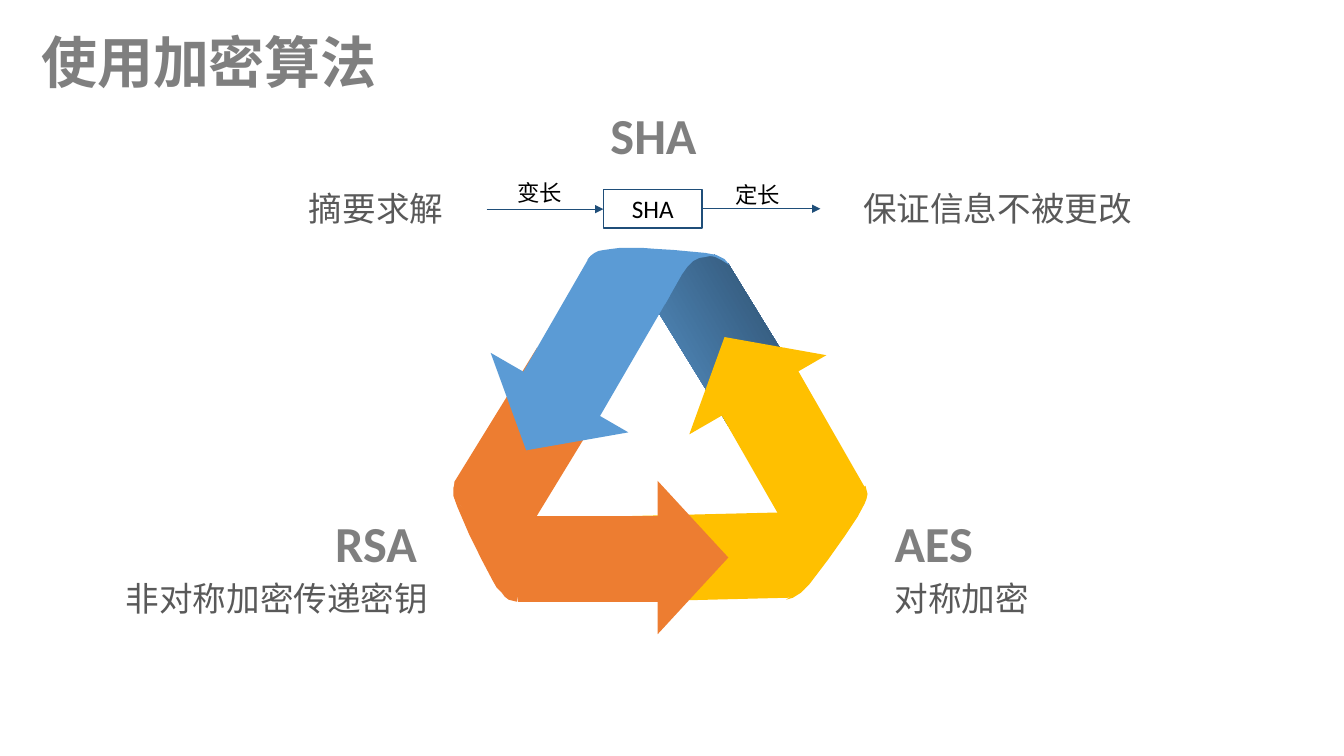
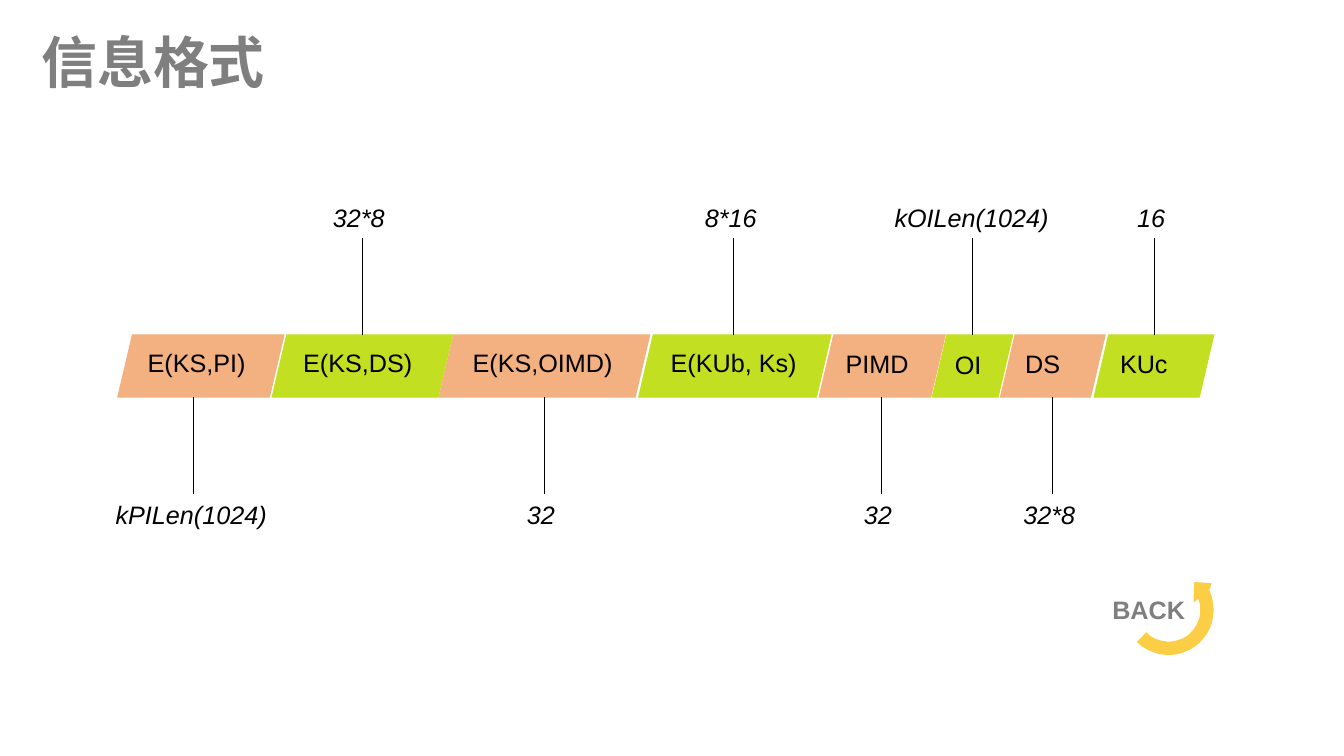
from dataclasses import dataclass
from math import cos, radians, sin

from lxml.etree import SubElement
from pptx import Presentation
from pptx.dml.color import RGBColor
from pptx.enum.shapes import MSO_CONNECTOR as Connector, MSO_SHAPE as Shape
from pptx.enum.text import MSO_ANCHOR as Anchor, PP_ALIGN as Align
from pptx.oxml.ns import qn
from pptx.util import Cm, Pt

# Shared look
COLOURS = {
    "heading": "7F7F7F", "body": "595959", "black": "000000", "flow": "1F4E79",
    "blue": "5B9BD5", "navy": "294761", "orange": "ED7D31", "yellow": "FFC000",
    "peach": "F3B081", "lime": "C3DF21", "back": "FBCE45",
}
HEADING = dict(size=36, colour="heading", bold=True)
BODY = dict(size=24, colour="body")
FLOW_LABEL = dict(size=16, font="Arial")
FIELD_TEXT = dict(size=18, font="Arial")


@dataclass
class Caption:
    text: str
    left: float
    top: float
    width: float
    height: float
    style: dict


@dataclass
class Strip:
    colour: str
    points: list[tuple[float, float]]
    shade: str | None = None


@dataclass
class Arrowhead:
    colour: str
    left: float
    top: float
    width: float
    height: float
    rotation: int


@dataclass
class Field:
    name: str
    left: float
    width: float
    tick: float
    size: str
    size_width: float


def rgb(name: str) -> RGBColor:
    return RGBColor.from_string(COLOURS[name])


def write(frame, text: str, *, size: float, colour: str = "black",
          font: str = "Calibri", bold: bool = False, italic: bool = False,
          align=Align.LEFT, anchor=Anchor.TOP) -> None:
    frame.word_wrap = True
    frame.vertical_anchor = anchor
    paragraph = frame.paragraphs[0]
    paragraph.alignment = align
    run = paragraph.add_run()
    run.text = text
    run.font.size, run.font.name = Pt(size), font
    run.font.bold, run.font.italic = bold, italic
    run.font.color.rgb = rgb(colour)


def add_caption(slide, caption: Caption) -> None:
    box = slide.shapes.add_textbox(Cm(caption.left), Cm(caption.top),
                                   Cm(caption.width), Cm(caption.height))
    write(box.text_frame, caption.text, **caption.style)


def paint(shape, fill: str | None, line: str | None = None,
          weight: float = 0.75) -> None:
    shape.shadow.inherit = False
    if fill:
        shape.fill.solid()
        shape.fill.fore_color.rgb = rgb(fill)
    else:
        shape.fill.background()
    if line:
        shape.line.color.rgb = rgb(line)
        shape.line.width = Pt(weight)
    else:
        shape.line.fill.background()


def add_preset(slide, kind, left: float, top: float, width: float, height: float):
    return slide.shapes.add_shape(kind, Cm(left), Cm(top), Cm(width), Cm(height))


def add_outline(slide, points: list[tuple[float, float]], unit: float):
    """Closed polygon; unit is the length in cm of one step of the points."""
    builder = slide.shapes.build_freeform(*points[0], scale=Cm(unit))
    builder.add_line_segments(points[1:], close=True)
    return builder.convert_to_shape()


def add_line(slide, start: tuple[float, float], end: tuple[float, float],
             colour: str, weight: float, arrow: bool = False) -> None:
    line = slide.shapes.add_connector(Connector.STRAIGHT, *map(Cm, start + end))
    line.line.color.rgb = rgb(colour)
    line.line.width = Pt(weight)
    if arrow:
        SubElement(line.line._get_or_add_ln(), qn("a:tailEnd"), type="triangle")
    SubElement(line._element.spPr, qn("a:effectLst"))


def new_slide(deck, title: str):
    slide = deck.slides.add_slide(deck.slide_layouts[6])
    add_caption(slide, Caption(title, 0.79, 0.56, 9.04, 1.96,
                               dict(size=40, colour="heading", bold=True)))
    return slide


# Cycle of the three algorithms; points in steps of 0.0254 cm
STRIP_UNIT = 0.0254
STRIPS = [
    Strip("orange", [(609, 387), (504, 559), (451, 494), (451, 478), (533, 345)]),
    Strip("blue", [(733, 439), (624, 262), (709, 253), (723, 262), (807, 399)],
          shade="navy"),
    Strip("blue", [(582, 436), (665, 293), (625, 271), (585, 255), (506, 392)]),
    Strip("blue", [(660, 302), (583, 258), (586, 254), (590, 251), (594, 249),
                   (600, 248), (607, 247), (615, 246), (638, 246), (651, 247),
                   (668, 248), (700, 251), (711, 253), (719, 257), (724, 263),
                   (716, 258), (710, 255), (705, 254), (700, 255), (694, 256),
                   (688, 259), (682, 265), (677, 272)]),
    Strip("yellow", [(625, 512), (833, 507), (798, 585), (784, 593), (623, 597)]),
    Strip("yellow", [(703, 389), (785, 532), (824, 509), (858, 483), (779, 345)]),
    Strip("yellow", [(782, 526), (859, 482), (861, 490), (860, 495), (858, 500),
                     (851, 513), (839, 531), (822, 555), (803, 580), (795, 588),
                     (787, 593), (780, 595), (788, 590), (794, 587), (797, 583),
                     (800, 578), (801, 573), (802, 567), (801, 560), (797, 553)]),
    Strip("orange", [(513, 512), (513, 597), (509, 596), (505, 595), (501, 592),
                     (498, 588), (493, 583), (489, 576), (479, 557), (466, 531),
                     (454, 503), (450, 492), (450, 484), (452, 477), (452, 492),
                     (454, 497), (457, 501), (461, 505), (466, 509), (473, 511),
                     (481, 512)]),
    Strip("orange", [(682, 512), (507, 512), (508, 556), (514, 597), (682, 597)]),
]
ARROWHEADS = [
    Arrowhead("blue", 11.68, 9.78, 4.01, 1.68, 210),
    Arrowhead("yellow", 16.69, 8.38, 3.99, 1.68, 330),
    Arrowhead("orange", 15.54, 13.16, 3.86, 1.78, 90),
]
CAPTIONS = [
    Caption("SHA", 15.14, 2.51, 2.69, 1.78, HEADING),
    Caption("AES", 22.3, 12.78, 7.49, 1.78, HEADING),
    Caption("对称加密", 22.3, 14.45, 8.51, 1.27, BODY),
    Caption("RSA", 8.2, 12.78, 3, 1.78, HEADING),
    Caption("非对称加密传递密钥", 2.92, 14.45, 8.51, 1.27, BODY),
    Caption("变长", 12.8, 4.39, 2.46, 0.94, FLOW_LABEL),
    Caption("定长", 18.29, 4.45, 2.69, 0.94, FLOW_LABEL),
    Caption("摘要求解", 7.54, 4.62, 4.17, 1.27, BODY),
    Caption("保证信息不被更改", 21.51, 4.62, 8.51, 1.27, BODY),
]

# Message fields in order; the sizes stand below and above in turn
FIELDS = [
    Field("E(KS,PI)", 2.97, 4.19, 4.89, "kPILen(1024)", 4.45),
    Field("E(KS,DS)", 6.86, 4.55, 9.13, "32*8", 1.98),
    Field("E(KS,OIMD)", 11.07, 5.31, 13.72, "32", 1.37),
    Field("E(KUb, Ks)", 16.1, 4.85, 18.5, "8*16", 1.96),
    Field("PIMD", 20.65, 3.18, 22.21, "32", 1.37),
    Field("OI", 23.5, 2.03, 24.51, "kOILen(1024)", 4.42),
    Field("DS", 25.22, 2.64, 26.54, "32*8", 1.98),
    Field("KUc", 27.58, 3.02, 29.1, "16", 1.37),
]
FIELD_TOP, FIELD_HEIGHT, TICK_LENGTH, SIZE_HEIGHT = 8.44, 1.57, 2.45, 1.02


def add_cycle(slide) -> None:
    for strip in STRIPS:
        band = add_outline(slide, strip.points, STRIP_UNIT)
        paint(band, strip.colour)
        if strip.shade:
            band.fill.gradient()
            band.fill.gradient_angle = 30
            for stop, name, place in zip(band.fill.gradient_stops,
                                         (strip.colour, strip.shade), (0, 1)):
                stop.color.rgb = rgb(name)
                stop.position = place
    for head in ARROWHEADS:
        tip = add_preset(slide, Shape.ISOSCELES_TRIANGLE, head.left, head.top,
                         head.width, head.height)
        tip.rotation = head.rotation
        paint(tip, head.colour)


def add_hash_flow(slide) -> None:
    add_line(slide, (12.27, 5.27), (15.21, 5.27), "flow", 0.5, arrow=True)
    hash_step = add_preset(slide, Shape.RECTANGLE, 15.21, 4.78, 2.49, 0.97)
    paint(hash_step, None, "flow", 1)
    write(hash_step.text_frame, "SHA", size=18, align=Align.CENTER,
          anchor=Anchor.MIDDLE)
    add_line(slide, (17.72, 5.26), (20.68, 5.26), "flow", 0.5, arrow=True)


def add_field(slide, index: int, field: Field) -> None:
    above = index % 2 == 1
    colour = "lime" if above else "peach"
    cell = add_preset(slide, Shape.PARALLELOGRAM, field.left, FIELD_TOP,
                      field.width, FIELD_HEIGHT)
    cell.adjustments[0] = 0.235
    paint(cell, colour, colour)
    write(cell.text_frame, field.name, **FIELD_TEXT)

    tick_top = FIELD_TOP - TICK_LENGTH if above else FIELD_TOP + FIELD_HEIGHT
    tick_end = tick_top + TICK_LENGTH
    add_line(slide, (field.tick, tick_top), (field.tick, tick_end), "black", 0.75)
    size_top = tick_top - SIZE_HEIGHT if above else tick_end
    add_caption(slide, Caption(field.size, field.tick - field.size_width / 2,
                               size_top, field.size_width, SIZE_HEIGHT,
                               FIELD_TEXT | dict(italic=True)))


def add_back_mark(slide) -> None:
    unit, centre_x, centre_y = 0.01, 29.46, 15.37

    def arc(radius: float, start: int, stop: int, step: int):
        return [(centre_x + radius * cos(radians(angle)),
                 centre_y + radius * sin(radians(angle)))
                for angle in range(start, stop, step)]

    head = [(30.53, 14.71), (30.12, 14.68), (30.1, 15.16)]
    curve = arc(1.12, 134, -30, -4) + head + arc(0.81, -22, 136, 4)
    arrow = add_outline(slide, [(round(x / unit), round(y / unit))
                                for x, y in curve], unit)
    paint(arrow, "back", "back")
    add_caption(slide, Caption("BACK", 27.79, 14.86, 3.25, 1.02,
                               FIELD_TEXT | dict(colour="heading", bold=True)))


def main() -> None:
    deck = Presentation()
    deck.slide_width, deck.slide_height = Cm(33.88), Cm(19.05)

    # Encryption algorithms
    algorithms = new_slide(deck, "使用加密算法")
    add_cycle(algorithms)
    add_hash_flow(algorithms)
    for caption in CAPTIONS:
        add_caption(algorithms, caption)

    # Message format
    message = new_slide(deck, "信息格式")
    for index, field in enumerate(FIELDS):
        add_field(message, index, field)
    add_back_mark(message)

    deck.save("out.pptx")


if __name__ == "__main__":
    main()
